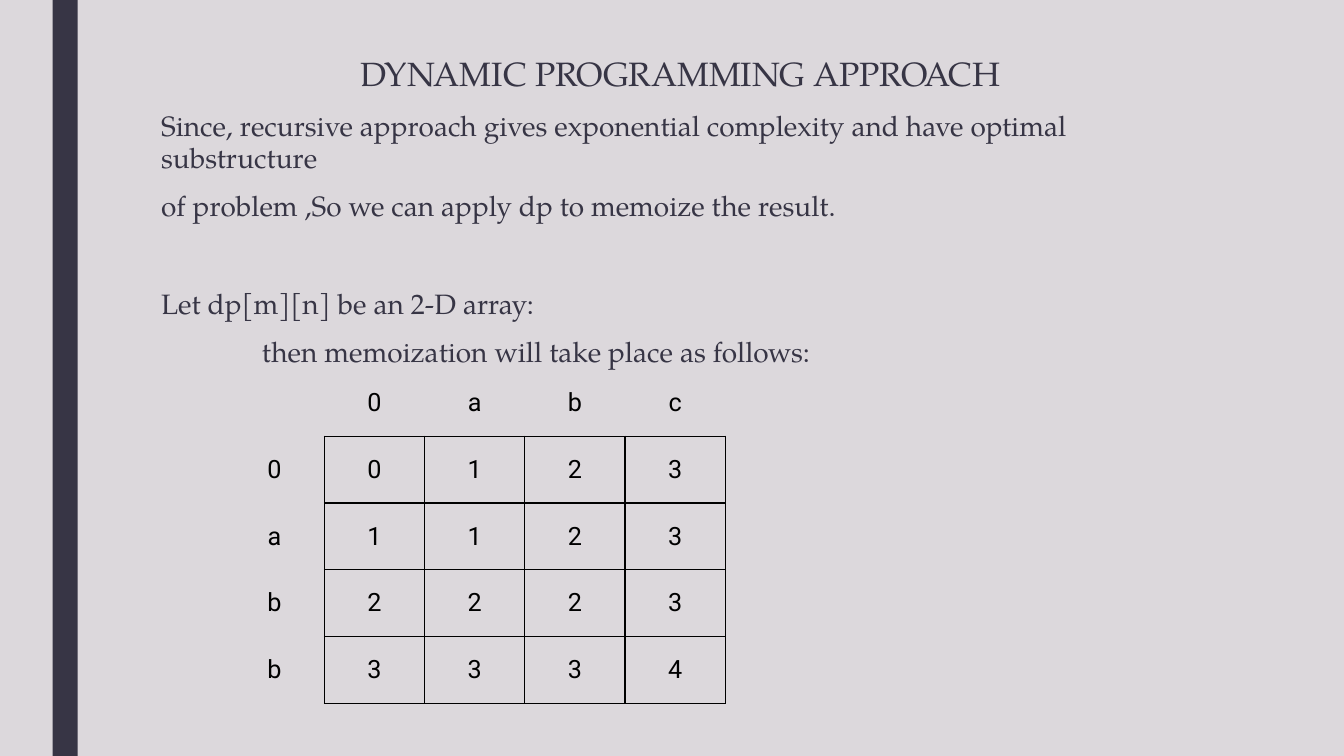
from pptx import Presentation
from pptx.dml.color import RGBColor
from pptx.enum import shapes, text
from pptx.oxml import ns, xmlchemy
from pptx.util import Pt

INK = RGBColor(0x37, 0x35, 0x45)
BACKDROP = RGBColor(0xDC, 0xD8, 0xDC)
BLACK = RGBColor(0, 0, 0)
SERIF, SANS = "TeX Gyre Pagella", "Roboto"
NO_STYLE = "{2D5ABB26-0587-4C30-8999-92F81FD0307C}"

INTRO = [
    ("Since, recursive approach gives exponential complexity and have optimal substructure", {}),
    ("of problem ,So we can apply dp to memoize the result.", {}),
    ("Let dp[m][n] be an 2-D array:", {"before": 35}),
    ("then memoization will take place as follows:", {"indent": 72}),
]
MEMO = [" 0abc", "00123", "a1123", "b2223", "b3334"]


def assign(obj, values):
    """Set each attribute named in values."""
    for name, value in values.items():
        setattr(obj, name, value)


class Deck:
    """Holds the style and the current slide."""

    title_font = {"name": SERIF, "size": Pt(24), "bold": False}
    body_font = {"name": SERIF, "size": Pt(20)}
    cell_font = {"name": SANS, "size": Pt(18)}

    def __init__(self, prs):
        """Add a title-only slide with its background."""
        self.s = prs.slides.add_slide(prs.slide_layouts[5])
        fill = self.s.background.fill
        fill.solid()
        fill.fore_color.rgb = BACKDROP

    def add_words(self, p, words, font, color, **layout):
        """Put one formatted run in a paragraph."""
        assign(p, layout)
        r = p.add_run()
        r.text = words
        assign(r.font, font)
        r.font.color.rgb = color

    def frame(self, sp, box):
        """Place a text shape and return its wrapping frame."""
        assign(sp, dict(zip(("left", "top", "width", "height"), map(Pt, box))))
        tf = sp.text_frame
        assign(tf, {"word_wrap": True, "auto_size": text.MSO_AUTO_SIZE.NONE,
                    "vertical_anchor": text.MSO_ANCHOR.TOP})
        return tf

    def bar(self, *box):
        """Draw a plain filled rectangle."""
        sp = self.s.shapes.add_shape(shapes.MSO_SHAPE.RECTANGLE, *map(Pt, box))
        sp.shadow.inherit = False
        sp.fill.solid()
        sp.fill.fore_color.rgb = INK
        sp.line.fill.background()

    def title(self, words, *box):
        """Fill the title placeholder."""
        tf = self.frame(self.s.shapes.title, box)
        self.add_words(tf.paragraphs[0], words, self.title_font, INK,
                       alignment=text.PP_ALIGN.CENTER, line_spacing=0.94)

    def body(self, lines, *box):
        """Add a text box with one paragraph per line."""
        tf = self.frame(self.s.shapes.add_textbox(*map(Pt, box)), box)
        for i, (words, gaps) in enumerate(lines):
            p = tf.add_paragraph() if i else tf.paragraphs[0]
            self.add_words(p, words, self.body_font, INK, line_spacing=0.94,
                           space_before=Pt(gaps.get("before", 0)), space_after=Pt(12))
            p._p.get_or_add_pPr().set("marL", str(Pt(gaps.get("indent", 0))))

    def border(self, cell, sides):
        """Draw thin black borders on the given sides of a cell."""
        for side in sides:
            ln = xmlchemy.OxmlElement(f"a:ln{side}")
            ln.set("w", str(Pt(1)))
            fill = xmlchemy.OxmlElement("a:solidFill")
            color = xmlchemy.OxmlElement("a:srgbClr")
            color.set("val", str(BLACK))
            fill.append(color)
            ln.append(fill)
            cell._tc.get_or_add_tcPr().append(ln)

    def table(self, rows, *box):
        """Add a table whose first row and column are unboxed labels."""
        n, m = len(rows), len(rows[0])
        frame = self.s.shapes.add_table(n, m, *map(Pt, box))
        tbl = frame.table
        assign(tbl, {"first_row": False, "horz_banding": False})
        frame._element.find(".//" + ns.qn("a:tableStyleId")).text = NO_STYLE
        for col in tbl.columns:
            col.width = Pt(box[2] / m)
        for row in tbl.rows:
            row.height = Pt(box[3] / n)
        for i, row in enumerate(rows):
            for j, value in enumerate(row):
                cell = tbl.cell(i, j)
                cell.vertical_anchor = text.MSO_ANCHOR.MIDDLE
                if i and j:
                    self.border(cell, "LRTB")
                elif i or j:
                    self.border(cell, "R" if i else "B")
                cell.fill.background()
                if value.strip():
                    self.add_words(cell.text_frame.paragraphs[0], value, self.cell_font,
                                   BLACK, alignment=text.PP_ALIGN.CENTER)


prs = Presentation()
assign(prs, {"slide_width": Pt(960), "slide_height": Pt(540)})
deck = Deck(prs)
deck.bar(37.5, 0, 18, 540)
deck.title("DYNAMIC PROGRAMMING APPROACH", 108, 36.7, 756, 38)
deck.body(INTRO, 108, 76.2, 756, 190)
deck.table(MEMO, 160.2, 264, 358, 238.4)
prs.save("out.pptx")
